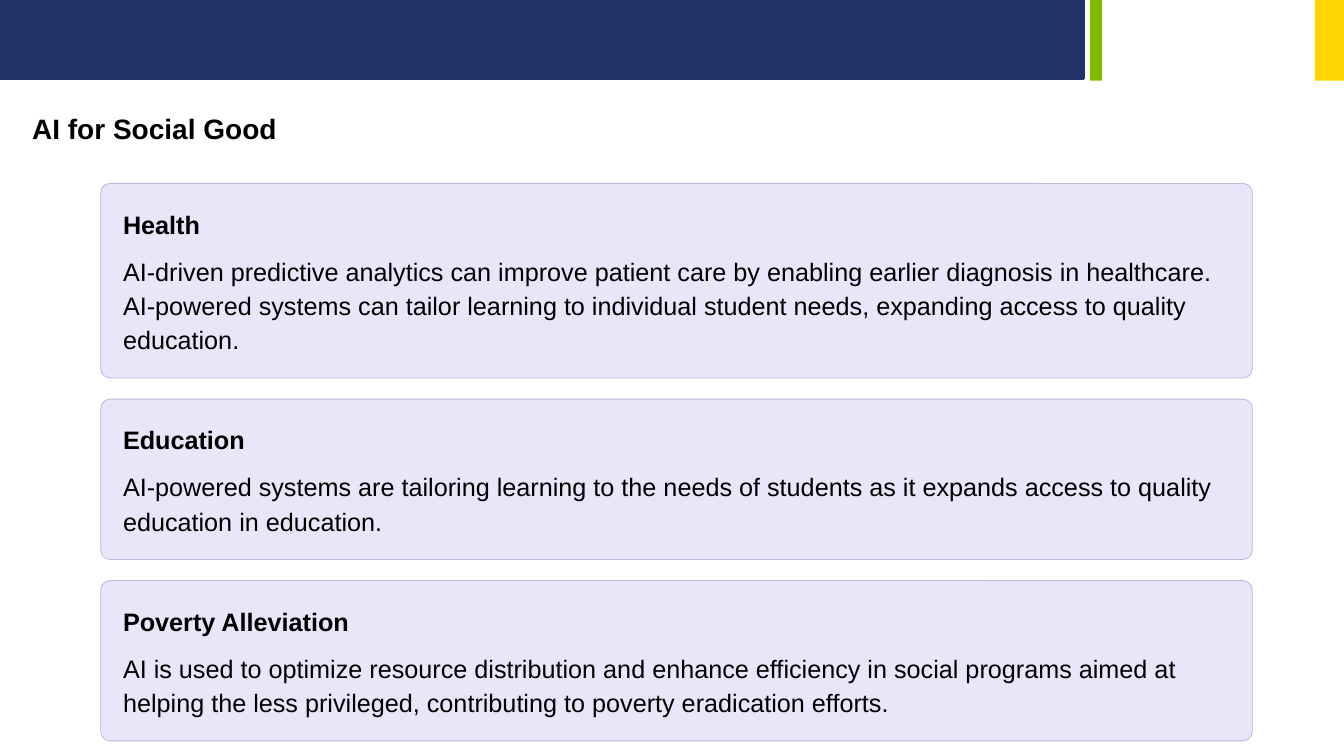
from dataclasses import dataclass

import pptx
import pptx.dml.color
import pptx.enum.shapes
import pptx.enum.text
import pptx.util

Inches = pptx.util.Inches
Pt = pptx.util.Pt
SHAPE = pptx.enum.shapes.MSO_SHAPE

COLORS = {
    "navy": "213264",
    "green": "7FBA00",
    "yellow": "FED500",
    "card": "E9E6FA",
    "border": "BDB8DF",
    "text": "000000",
}
TITLE = {"name": "Arial", "size": Pt(20), "bold": True}
HEADING = {"name": "Arial", "size": Pt(18), "bold": True}
BODY = {"name": "Arial", "size": Pt(18), "bold": False}
NO_MARGINS = dict.fromkeys(
    ("margin_left", "margin_top", "margin_right", "margin_bottom"), 0
)

CARD_LEFT, CARD_WIDTH, CARD_TOP, CARD_GAP = 1, 11.42, 1.82, 0.21
CARD_RADIUS, PADDING, LINE_HEIGHT = 0.09, 0.22, 0.34
HEADING_WIDTH, HEADING_HEIGHT, BODY_WIDTH, BODY_OFFSET = 3.59, 0.33, 10.82, 0.68


@dataclass
class Box:
    left: float
    top: float
    width: float
    height: float

    def emu(self) -> list[int]:
        return [Inches(v) for v in (self.left, self.top, self.width, self.height)]


@dataclass
class Band:
    box: Box
    color: str
    line: str | None = None


@dataclass
class Card:
    heading: str
    body: str
    lines: int

    @property
    def height(self) -> float:
        return 0.91 + self.lines * LINE_HEIGHT


BANDS = [
    Band(Box(0, 0, 10.75, 0.78), "navy", "navy"),
    Band(Box(10.81, 0, 0.12, 0.8), "green"),
    Band(Box(13.04, 0, 0.29, 0.8), "yellow"),
]
CARDS = [
    Card(
        "Health",
        "AI-driven predictive analytics can improve patient care by enabling "
        "earlier diagnosis in healthcare. AI-powered systems can tailor learning "
        "to individual student needs, expanding access to quality education.",
        3,
    ),
    Card(
        "Education",
        "AI-powered systems are tailoring learning to the needs of students as it "
        "expands access to quality education in education.",
        2,
    ),
    Card(
        "Poverty Alleviation",
        "AI is used to optimize resource distribution and enhance efficiency in "
        "social programs aimed at helping the less privileged, contributing to "
        "poverty eradication efforts.",
        2,
    ),
]


def rgb(name: str) -> pptx.dml.color.RGBColor:
    return pptx.dml.color.RGBColor.from_string(COLORS[name])


def add_panel(s, kind, box: Box, fill: str, line: str | None, weight: float):
    sp = s.shapes.add_shape(kind, *box.emu())
    sp.shadow.inherit = False
    sp.fill.solid()
    sp.fill.fore_color.rgb = rgb(fill)
    if line:
        sp.line.color.rgb = rgb(line)
        sp.line.width = Pt(weight)
    else:
        sp.line.fill.background()
    return sp


def add_text(s, box: Box, text: str, font: dict, frame: dict,
             spacing: float | None = None) -> None:
    tf = s.shapes.add_textbox(*box.emu()).text_frame
    for key, value in frame.items():
        setattr(tf, key, value)
    p = tf.paragraphs[0]
    if spacing:
        p.line_spacing = Pt(spacing)
    r = p.add_run()
    r.text = text
    for key, value in font.items():
        setattr(r.font, key, value)
    r.font.color.rgb = rgb("text")


def add_card(s, card: Card, top: float) -> None:
    sp = add_panel(s, SHAPE.ROUNDED_RECTANGLE,
                   Box(CARD_LEFT, top, CARD_WIDTH, card.height),
                   "card", "border", 0.6)
    sp.adjustments[0] = CARD_RADIUS / card.height
    left = CARD_LEFT + PADDING
    add_text(s, Box(left, top + PADDING, HEADING_WIDTH, HEADING_HEIGHT),
             card.heading, HEADING, {**NO_MARGINS, "word_wrap": False}, 24)
    add_text(s, Box(left, top + BODY_OFFSET, BODY_WIDTH, card.lines * LINE_HEIGHT),
             card.body, BODY, {**NO_MARGINS, "word_wrap": True}, 24.5)


def main() -> None:
    prs = pptx.Presentation()
    prs.slide_width, prs.slide_height = Inches(13.33), Inches(7.5)
    s = prs.slides.add_slide(prs.slide_layouts[6])
    for band in BANDS:
        add_panel(s, SHAPE.RECTANGLE, band.box, band.color, band.line, 2)
    add_text(s, Box(0.22, 1.06, 5.93, 0.44), "AI for Social Good", TITLE,
             {"word_wrap": True,
              "auto_size": pptx.enum.text.MSO_AUTO_SIZE.SHAPE_TO_FIT_TEXT})
    top = CARD_TOP
    for card in CARDS:
        add_card(s, card, top)
        top += card.height + CARD_GAP
    prs.save("out.pptx")


if __name__ == "__main__":
    main()
